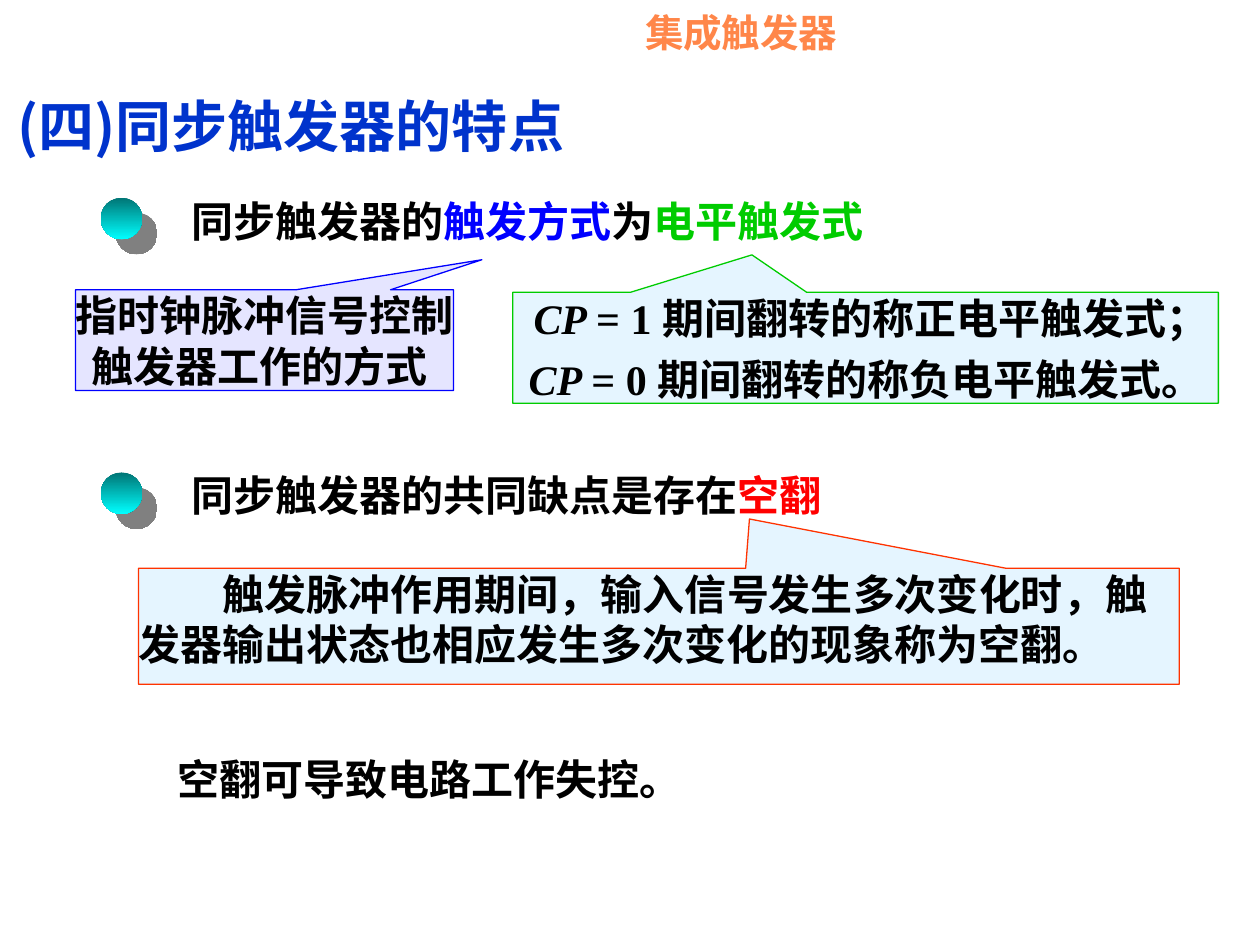
from lxml import etree
from pptx import Presentation, util as u
from pptx.dml.color import RGBColor
from pptx.enum import shapes, text
from pptx.oxml.ns import qn

COLORS = {
    "header": "FF8649", "title": "0033CC", "body": "000000", "white": "FFFFFF",
    "blue": "0000FF", "green": "00CC00", "red": "FF0000", "scarlet": "FF3300",
    "lilac": "CCCCFF", "sky": "CCECFF", "teal": "007575", "cyan": "00FFFF",
    "shadow": "808080",
}
SANS, SERIF = "Noto Sans CJK SC", "Times New Roman"
INSETS = (0.1, 0.05, 0.1, 0.05)


def color(name):
    return RGBColor.from_string(COLORS[name])


def write(shape, paragraphs, size=24, font=SERIF, insets=INSETS, wrap=True,
          align=text.PP_ALIGN.LEFT, space=0, indent=0):
    """Fill a shape with paragraphs, each a list of (words, color, italic)."""
    frame = shape.text_frame
    frame.word_wrap = wrap
    frame.vertical_anchor = text.MSO_ANCHOR.TOP
    (frame.margin_left, frame.margin_top,
     frame.margin_right, frame.margin_bottom) = map(u.Inches, insets)
    for index, spans in enumerate(paragraphs):
        para = frame.paragraphs[0] if index == 0 else frame.add_paragraph()
        para.alignment = align
        if index:
            para.space_before = u.Pt(space)
        if indent:
            para._p.get_or_add_pPr().set("indent", str(u.Inches(indent)))
        for words, tint, italic in spans:
            for number, line in enumerate(words.split("\n")):
                if number:
                    para.add_line_break()
                span = para.add_run()
                span.text = line
                span.font.size = u.Pt(size)
                span.font.bold = True
                span.font.italic = italic
                span.font.color.rgb = color(tint)
                span.font.name = font
                etree.SubElement(span._r.get_or_add_rPr(), qn("a:ea"), typeface=SANS)


def add_text(page, box, paragraphs, **style):
    shape = page.shapes.add_textbox(*map(u.Inches, box))
    write(shape, paragraphs, **style)


def add_bullet_line(page, left, top, spans):
    """Draw a shaded ball with an offset shadow, and the statement beside it."""
    ball = page.shapes.add_shape(shapes.MSO_SHAPE.OVAL, u.Inches(left),
                                 u.Inches(top + 0.07), u.Inches(0.33), u.Inches(0.33))
    ball.line.fill.background()
    ball.fill.gradient()
    ball.fill.gradient_angle = 270
    for stop, (name, position) in zip(ball.fill.gradient_stops, (("teal", 0), ("cyan", 1))):
        stop.color.rgb = color(name)
        stop.position = position
    ball.shadow.inherit = False
    effects = ball._element.spPr.find(qn("a:effectLst"))
    shadow = etree.SubElement(effects, qn("a:outerShdw"), dist=str(u.Pt(12.1)),
                              dir="2700000", algn="ctr", rotWithShape="0")
    etree.SubElement(shadow, qn("a:srgbClr"), val=COLORS["shadow"])
    add_text(page, (left + 0.62, top, 6.7, 0.5), [spans])


def add_callout(page, box, tip, fill, line, paragraphs, **style):
    """Draw a half-transparent callout; tip is its offset from the centre."""
    shape = page.shapes.add_shape(shapes.MSO_SHAPE.RECTANGULAR_CALLOUT,
                                  *map(u.Inches, box))
    shape.adjustments[0], shape.adjustments[1] = tip
    shape.shadow.inherit = False
    shape.fill.solid()
    shape.fill.fore_color.rgb = color(fill)
    tint = shape._element.spPr.find(qn("a:solidFill"))[0]
    etree.SubElement(tint, qn("a:alpha"), val="50000")
    shape.line.color.rgb = color(line)
    shape.line.width = u.Pt(0.75)
    write(shape, paragraphs, insets=(0, 0, 0, 0), **style)


def add_heading(page):
    add_text(page, (4.58, 0.12, 3.67, 0.31), [[("集成触发器", "header", False)]],
             size=22, insets=(0.54, -0.05, 0, 0.31))
    add_text(page, (0.04, 0.68, 5.68, 0.64),
             [[("(四)同步触发器的特点", "title", False)]], size=32, font=SANS)


def add_trigger_mode(page, left, top):
    add_bullet_line(page, left, top, [
        ("同步触发器的", "body", False), ("触发方式", "blue", False),
        ("为", "body", False), ("电平触发式", "green", False)])
    centred = {"wrap": False, "align": text.PP_ALIGN.CENTER, "space": 6}
    add_callout(page, (left - 0.2, top + 0.8, 3, 0.8), (0.575, -0.798), "lilac", "blue",
                [[("指时钟脉冲信号控制\n触发器工作的方式 ", "body", False)]], **centred)
    levels = [[(" CP ", "body", True), (words, "body", False)]
              for words in ("= 1 期间翻转的称正电平触发式；",
                            "= 0 期间翻转的称负电平触发式。 ")]
    add_callout(page, (left + 3.27, top + 0.82, 5.6, 0.88), (-0.161, -0.838),
                "sky", "green", levels, **centred)


def add_shortcoming(page, left, top):
    add_bullet_line(page, left, top, [
        ("同步触发器的共同缺点是存在", "body", False), ("空翻", "red", False)])
    meaning = "触发脉冲作用期间，输入信号发生多次变化时，触发器输出状态也相应发生多次变化的现象称为空翻。"
    add_callout(page, (left + 0.3, top + 0.83, 8.26, 0.92), (0.087, -0.925),
                "sky", "scarlet", [[(meaning, "body", False)]], font=SANS, indent=0.67)
    add_text(page, (left + 0.21, top + 2.25, 7.58, 0.5),
             [[("空翻可导致电路工作失控。", "body", False)]], font=SANS, indent=0.3)


def main():
    deck = Presentation()
    deck.slide_width, deck.slide_height = u.Inches(10), u.Inches(7.5)
    page = deck.slides.add_slide(deck.slide_layouts[6])
    add_heading(page)
    add_trigger_mode(page, 0.8, 1.5)
    add_shortcoming(page, 0.8, 3.68)
    deck.save("out.pptx")


if __name__ == "__main__":
    main()
